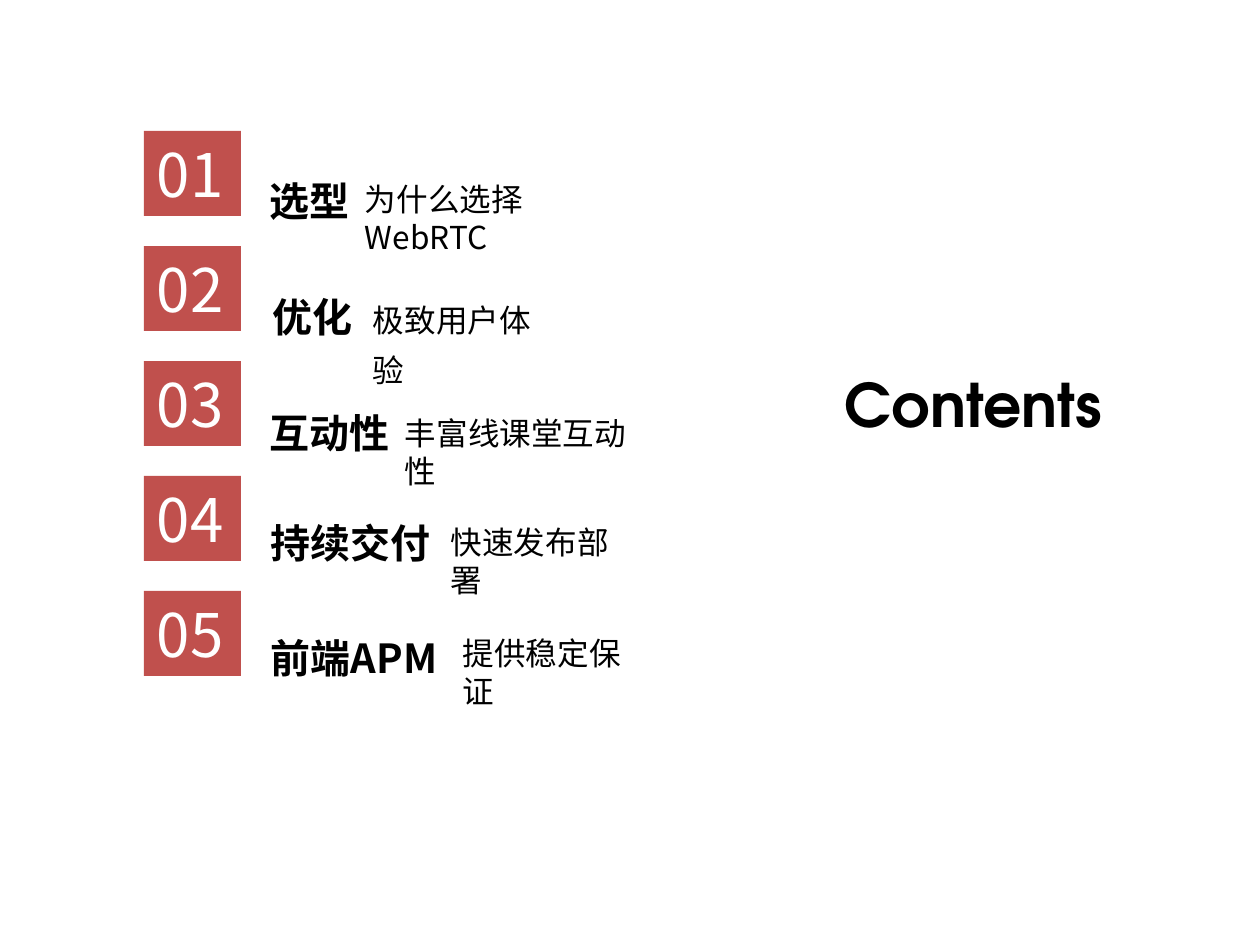
from dataclasses import dataclass
from lxml.etree import SubElement
from pptx import Presentation
from pptx.dml.color import RGBColor
from pptx.enum.shapes import MSO_SHAPE
from pptx.enum.text import MSO_ANCHOR, MSO_AUTO_SIZE, PP_ALIGN
from pptx.oxml.ns import qn
from pptx.util import Pt

PX = 11430  # EMU per pixel at 80 pixels to the inch
COLORS = {"tile": "C0504D", "number": "FFFFFF", "text": "000000"}
SANS, DISPLAY = "Noto Sans CJK SC", "TeX Gyre Adventor"
TILE_LEFT, TILE_TOP, TILE_PITCH = 144, 131, 115
TILE_W, TILE_H = 97, 85


@dataclass
class Label:
    text: str
    left: int
    top: int
    width: int
    height: int
    size: float
    color: str = "text"
    font: str = SANS
    bold: bool = False
    wrap: bool = True
    grow: bool = True
    spacing: float = 1.0
    anchor: MSO_ANCHOR = MSO_ANCHOR.TOP
    align: PP_ALIGN = PP_ALIGN.LEFT

    def box(self) -> list[int]:
        return [v * PX for v in (self.left, self.top, self.width, self.height)]


def write(sp, label: Label) -> None:
    """Fill a shape with the label's text and format it."""
    tf = sp.text_frame
    tf.text = label.text
    tf.word_wrap = label.wrap
    tf.auto_size = MSO_AUTO_SIZE.SHAPE_TO_FIT_TEXT if label.grow else MSO_AUTO_SIZE.NONE
    tf.vertical_anchor = label.anchor
    p = tf.paragraphs[0]
    p.alignment = label.align
    p.line_spacing = label.spacing
    r = p.runs[0]
    r.font.size = Pt(label.size)
    r.font.bold = label.bold
    r.font.name = label.font
    r.font.color.rgb = RGBColor.from_string(COLORS[label.color])
    SubElement(r.font._element, qn("a:ea")).set("typeface", label.font)


def add_label(s, label: Label):
    sp = s.shapes.add_textbox(*label.box())
    write(sp, label)
    return sp


def add_tile(s, index: int) -> None:
    label = Label(f"{index + 1:02d}", TILE_LEFT, TILE_TOP + index * TILE_PITCH,
                  TILE_W, TILE_H, 54, color="number", wrap=False)
    sp = s.shapes.add_shape(MSO_SHAPE.RECTANGLE, *label.box())
    sp.shadow.inherit = False
    sp.fill.solid()
    sp.fill.fore_color.rgb = RGBColor.from_string(COLORS["tile"])
    sp.line.fill.background()
    write(sp, label)
    tf = sp.text_frame
    tf.margin_left = tf.margin_right = 13 * PX
    tf.margin_top = tf.margin_bottom = 6 * PX


def heading(text: str, left: int, top: int, width: int,
            anchor: MSO_ANCHOR = MSO_ANCHOR.TOP) -> Label:
    return Label(text, left, top, width, 71, 36, bold=True, spacing=1.3, anchor=anchor)


def detail(text: str, left: int, top: int, width: int, height: int = 46,
           spacing: float = 1.0, wrap: bool = False) -> Label:
    return Label(text, left, top, width, height, 28.4, spacing=spacing, wrap=wrap)


prs = Presentation()
prs.slide_width, prs.slide_height = 1260 * PX, 945 * PX
s = prs.slides.add_slide(prs.slide_layouts[6])

# Chapters: numbered tile, heading, detail
chapters = [
    (heading("选型", 262, 158, 166), detail("为什么选择WebRTC", 357, 176, 299, wrap=True)),
    (heading("优化", 265, 274, 100), detail("极致用户体验", 365, 286, 205, 57, 1.3)),
    (heading("互动性", 262, 390, 168), detail("丰富线课堂互动性", 397, 410, 267)),
    (heading("持续交付", 263, 500, 182), detail("快速发布部署", 443, 519, 205)),
    (heading("前端APM", 263, 614, 198, MSO_ANCHOR.BOTTOM),
     detail("提供稳定保证", 455, 630, 205)),
]
for i, (title, note) in enumerate(chapters):
    add_tile(s, i)
    add_label(s, title)
    sp = add_label(s, note)
    if note.wrap:  # keep the Latin word on its own line
        sp.text_frame.margin_right = 100 * PX

# Slide title
add_label(s, Label("Contents", 787, 372, 373, 62, 54, font=DISPLAY, bold=True, grow=False,
                   anchor=MSO_ANCHOR.MIDDLE, align=PP_ALIGN.CENTER))

prs.save("out.pptx")
